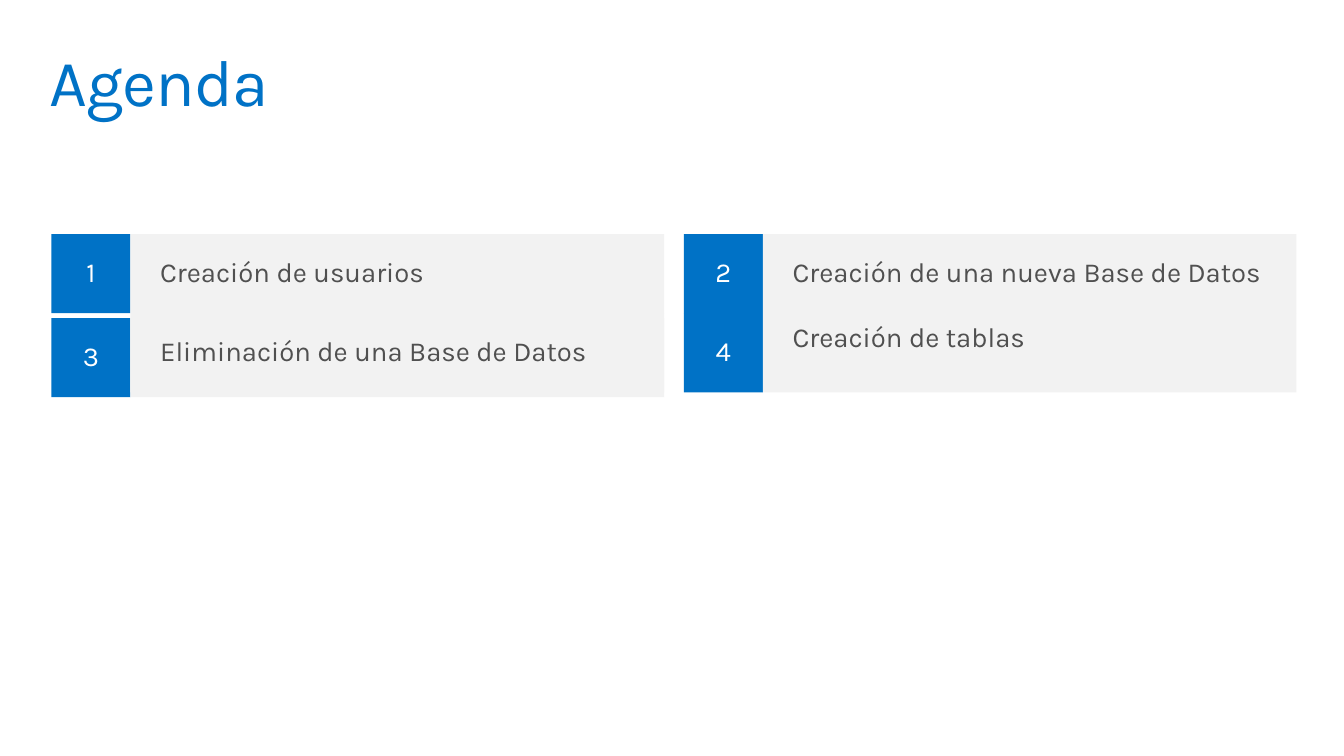
from typing import NamedTuple

from pptx import Presentation
from pptx.dml.color import RGBColor
from pptx.enum.shapes import MSO_SHAPE as Preset
from pptx.enum.text import MSO_ANCHOR as Anchor, MSO_AUTO_SIZE as AutoSize, PP_ALIGN as Align
from pptx.shapes.autoshape import Shape
from pptx.slide import Slide
from pptx.util import Pt

BLUE, GREY, INK, WHITE = "0072C6", "F2F2F2", "505050", "FFFFFF"
TILE = 57.6
BAR_WIDTH = 388.8
LEFT, RIGHT = 37.44, 498.24
TOP = 170.64
SECOND = TOP + TILE
LOWERED = SECOND + 3.6
TILE_INSETS = (14.4, 11.52, 14.4, 11.52)
BAR_INSETS = (21.6, 7.2, 21.6, 7.2)
RAISED_INSETS = (21.6, 7.2, 21.6, 28.6)


class Topic(NamedTuple):
    number: str
    label: str
    left: float
    tile_top: float
    bar_top: float
    insets: tuple[float, ...] = BAR_INSETS


TOPICS = [
    Topic("1", "Creación de usuarios", LEFT, TOP, TOP),
    Topic("2", "Creación de una nueva Base de Datos", RIGHT, TOP, TOP),
    Topic("3", "Eliminación de una Base de Datos", LEFT, LOWERED, SECOND),
    Topic("4", "Creación de tablas", RIGHT, SECOND, SECOND, RAISED_INSETS),
]


def color(code: str) -> RGBColor:
    return RGBColor.from_string(code)


def write(box: Shape, text: str, *, ink: str, size: float = 20, align: Align = Align.LEFT,
          anchor: Anchor = Anchor.MIDDLE, insets: tuple[float, ...] = BAR_INSETS,
          spacing: float = 0) -> None:
    """Fill a shape with one formatted paragraph; insets run left, top, right, bottom."""
    frame = box.text_frame
    frame.word_wrap = True
    frame.auto_size = AutoSize.NONE
    frame.vertical_anchor = anchor
    frame.margin_left, frame.margin_top, frame.margin_right, frame.margin_bottom = map(Pt, insets)
    para = frame.paragraphs[0]
    para.alignment = align
    para.line_spacing = 0.9
    para.space_before = Pt(0)
    span = para.add_run()
    span.text = text
    span.font.name = "Karla"
    span.font.size = Pt(size)
    span.font.color.rgb = color(ink)
    if spacing:
        span.font._element.set("spc", str(round(spacing * 100)))


def add_block(page: Slide, left: float, top: float, width: float, fill: str) -> Shape:
    box = page.shapes.add_shape(Preset.RECTANGLE, Pt(left), Pt(top), Pt(width), Pt(TILE))
    box.shadow.inherit = False
    box.fill.solid()
    box.fill.fore_color.rgb = color(fill)
    box.line.fill.background()
    return box


def add_topic(page: Slide, topic: Topic) -> None:
    tile = add_block(page, topic.left, topic.tile_top, TILE, BLUE)
    write(tile, topic.number, ink=WHITE, align=Align.CENTER, insets=TILE_INSETS)
    bar_left = topic.left + TILE
    if topic.tile_top != topic.bar_top:
        add_block(page, bar_left, topic.tile_top, BAR_WIDTH, GREY)
    bar = add_block(page, bar_left, topic.bar_top, BAR_WIDTH, GREY)
    write(bar, topic.label, ink=INK, insets=topic.insets)


def main() -> None:
    deck = Presentation()
    deck.slide_width, deck.slide_height = Pt(979.2), Pt(550.8)
    page = deck.slides.add_slide(deck.slide_layouts[5])
    title = page.shapes.title
    title.left, title.top, title.width, title.height = Pt(28.8), Pt(28.8), Pt(921.6), Pt(72)
    write(title, "Agenda", ink=BLUE, size=48, anchor=Anchor.TOP, insets=(7.2,) * 4, spacing=-0.7)
    for topic in TOPICS:
        add_topic(page, topic)
    deck.save("out.pptx")


if __name__ == "__main__":
    main()
